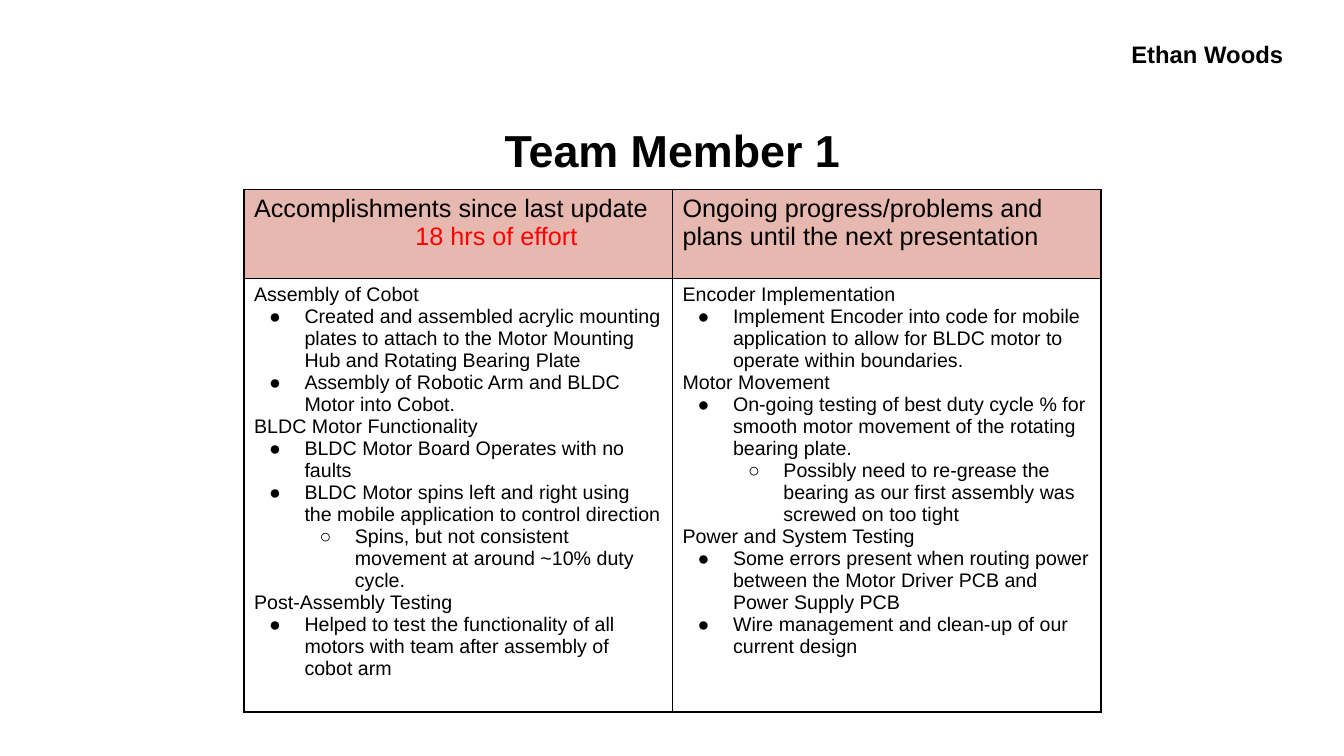
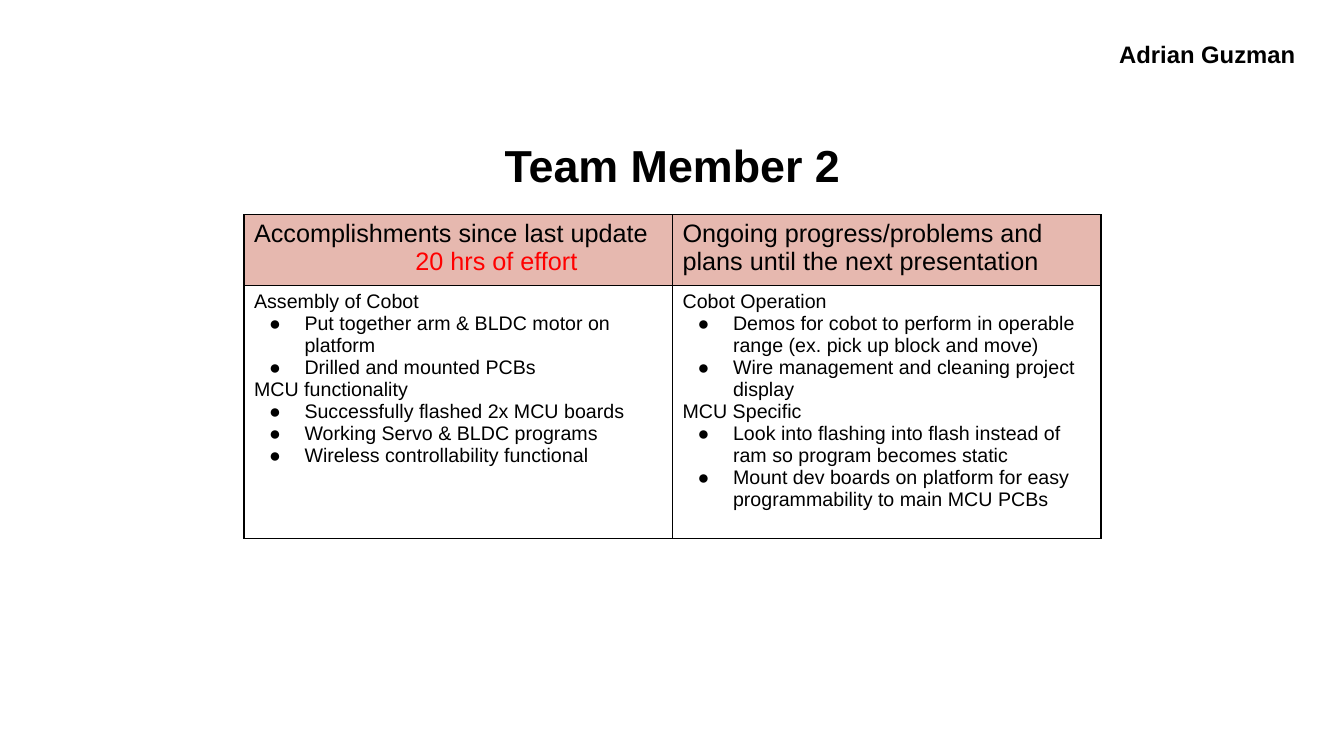
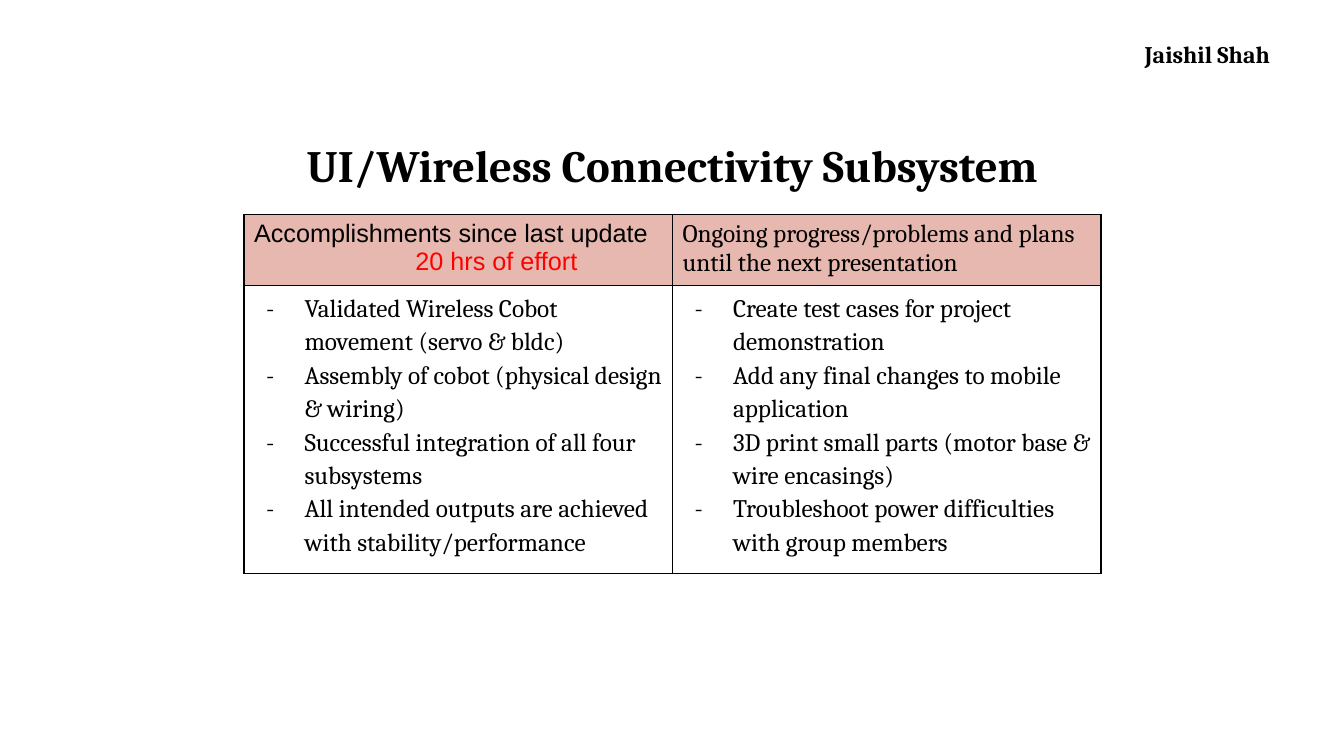
from collections import namedtuple

from lxml.etree import SubElement as add_element
from pptx import Presentation
from pptx.dml.color import RGBColor
from pptx.enum.text import MSO_ANCHOR as Anchor, PP_ALIGN as Align
from pptx.oxml.ns import qn
from pptx.util import Inches, Pt

BLACK, RED, ROSE = "000000", "FF0000", "E6B8AF"
SANS, SERIF = "Arial", "Cambria"
LINE_SPACING = 1.15

Style = namedtuple("Style", "level left hang mark size spacing")
HEAD = Style(0, 0, 0, None, 14, 1.0)
DOT = Style(0, 0.5, 0.35, "●", 14, 1.0)
RING = Style(1, 1, 0.35, "○", 14, 1.0)
DASH = Style(0, 0.5, 0.38, "-", 18, LINE_SPACING)
HEADER = Style(0, 0, 0, None, 18, 1.0)
EFFORT = Style(0, 1.6, 0, None, 18, 1.0)

Update = namedtuple("Update", "name title title_top table_top rows font hours done ahead")

UPDATES = [
    Update(
        "Ethan Woods", "Team Member 1", 1, 1.88, (0.88, 4.06), SANS, 18,
        [
            (HEAD, "Assembly of Cobot"),
            (DOT, "Created and assembled acrylic mounting plates to attach to the "
                  "Motor Mounting Hub and Rotating Bearing Plate"),
            (DOT, "Assembly of Robotic Arm and BLDC Motor into Cobot."),
            (HEAD, "BLDC Motor Functionality"),
            (DOT, "BLDC Motor Board Operates with no faults"),
            (DOT, "BLDC Motor spins left and right using the mobile application "
                  "to control direction"),
            (RING, "Spins, but not consistent movement at around ~10% duty cycle."),
            (HEAD, "Post-Assembly Testing"),
            (DOT, "Helped to test the functionality of all motors with team after "
                  "assembly of cobot arm"),
        ],
        [
            (HEAD, "Encoder Implementation"),
            (DOT, "Implement Encoder into code for mobile application to allow for "
                  "BLDC motor to operate within boundaries."),
            (HEAD, "Motor Movement"),
            (DOT, "On-going testing of best duty cycle % for smooth motor movement "
                  "of the rotating bearing plate."),
            (RING, "Possibly need to re-grease the bearing as our first assembly "
                   "was screwed on too tight"),
            (HEAD, "Power and System Testing"),
            (DOT, "Some errors present when routing power between the Motor Driver "
                  "PCB and Power Supply PCB"),
            (DOT, "Wire management and clean-up of our current design"),
        ],
    ),
    Update(
        "Adrian Guzman", "Team Member 2", 1.15, 2.13, (0.7, 2.51), SANS, 20,
        [
            (HEAD, "Assembly of Cobot"),
            (DOT, "Put together arm & BLDC motor on platform"),
            (DOT, "Drilled and mounted PCBs"),
            (HEAD, "MCU functionality"),
            (DOT, "Successfully flashed 2x MCU boards"),
            (DOT, "Working Servo & BLDC programs"),
            (DOT, "Wireless controllability functional"),
        ],
        [
            (HEAD, "Cobot Operation"),
            (DOT, "Demos for cobot to perform in operable range "
                  "(ex. pick up block and move)"),
            (DOT, "Wire management and cleaning project display"),
            (HEAD, "MCU Specific"),
            (DOT, "Look into flashing into flash instead of ram so program "
                  "becomes static"),
            (DOT, "Mount dev boards on platform for easy programmability to main "
                  "MCU PCBs"),
        ],
    ),
    Update(
        "Jaishil Shah", "UI/Wireless Connectivity Subsystem", 1.15, 2.13,
        (0.7, 2.78), SERIF, 20,
        [
            (DASH, "Validated Wireless Cobot movement (servo & bldc)"),
            (DASH, "Assembly of cobot (physical design & wiring)"),
            (DASH, "Successful integration of all four subsystems"),
            (DASH, "All intended outputs are achieved with stability/performance"),
        ],
        [
            (DASH, "Create test cases for project demonstration"),
            (DASH, "Add any final changes to mobile application"),
            (DASH, "3D print small parts (motor base & wire encasings)"),
            (DASH, "Troubleshoot power difficulties with group members"),
        ],
    ),
]


def color(value):
    """Turn a hex string into a colour."""
    return RGBColor.from_string(value)


def add_run(para, text, size, font, ink=BLACK, bold=False):
    """Append one formatted run to a paragraph."""
    span = para.add_run()
    span.text = text
    span.font.size = Pt(size)
    span.font.name = font
    span.font.bold = bold
    span.font.color.rgb = color(ink)


def add_heading(page, text, place, size, font, margin, anchor):
    """Add a centred bold line of text in its own box."""
    box = page.shapes.add_textbox(*map(Inches, place))
    frame = box.text_frame
    frame.word_wrap = True
    frame.margin_top = frame.margin_bottom = Inches(margin)
    frame.vertical_anchor = anchor
    para = frame.paragraphs[0]
    para.alignment = Align.CENTER
    para.line_spacing = LINE_SPACING
    add_run(para, text, size, font, bold=True)


def style_paragraph(para, style, font):
    """Set indent, level, spacing and bullet of a paragraph."""
    para.level = style.level
    props = para._p.get_or_add_pPr()
    props.set("marL", str(Inches(style.left)))
    props.set("indent", str(-Inches(style.hang)))
    if style.mark:
        add_element(add_element(props, qn("a:buClr")), qn("a:srgbClr"), val=BLACK)
        add_element(props, qn("a:buFont"), typeface=font)
        add_element(props, qn("a:buChar"), char=style.mark)
    para.line_spacing = style.spacing


def add_borders(cell):
    """Draw a thin black line on all four sides of a cell."""
    props = cell._tc.get_or_add_tcPr()
    for side in ("lnL", "lnR", "lnT", "lnB"):
        line = add_element(props, qn(f"a:{side}"), w=str(Pt(1)))
        add_element(add_element(line, qn("a:solidFill")), qn("a:srgbClr"), val=BLACK)


def fill_cell(cell, lines, font, fill=None):
    """Give a cell its borders, fill and paragraphs."""
    add_borders(cell)
    if fill:
        cell.fill.solid()
        cell.fill.fore_color.rgb = color(fill)
    else:
        cell.fill.background()
    frame = cell.text_frame
    for index, (style, text) in enumerate(lines):
        para = frame.add_paragraph() if index else frame.paragraphs[0]
        style_paragraph(para, style, font)
        add_run(para, text, style.size, font, RED if style is EFFORT else BLACK)


def add_progress_table(page, update):
    """Add the two-column table of finished and planned work."""
    place = (2.42, update.table_top, 8.5, sum(update.rows))
    table = page.shapes.add_table(2, 2, *map(Inches, place)).table
    table.first_row = table.horz_banding = False
    for row, height in zip(table.rows, update.rows):
        row.height = Inches(height)
    done_header = [(HEADER, "Accomplishments since last update"),
                   (EFFORT, f"{update.hours} hrs of effort")]
    ahead_header = [(HEADER, "Ongoing progress/problems and plans until the "
                             "next presentation")]
    fill_cell(table.cell(0, 0), done_header, SANS, ROSE)
    fill_cell(table.cell(0, 1), ahead_header, update.font, ROSE)
    fill_cell(table.cell(1, 0), update.done, update.font)
    fill_cell(table.cell(1, 1), update.ahead, update.font)


def add_update(deck, update):
    """Add the slide of one team member."""
    page = deck.slides.add_slide(deck.slide_layouts[6])
    add_heading(page, update.title, (2.17, update.title_top, 9, 0.88), 32,
                update.font, 0.05, Anchor.MIDDLE)
    add_progress_table(page, update)
    add_heading(page, update.name, (10.96, 0.25, 2.03, 0.49), 17,
                update.font, 0.1, Anchor.TOP)


def main():
    """Build and save the deck."""
    deck = Presentation()
    deck.slide_width, deck.slide_height = Inches(13.33), Inches(7.5)
    for update in UPDATES:
        add_update(deck, update)
    deck.save("out.pptx")


if __name__ == "__main__":
    main()
